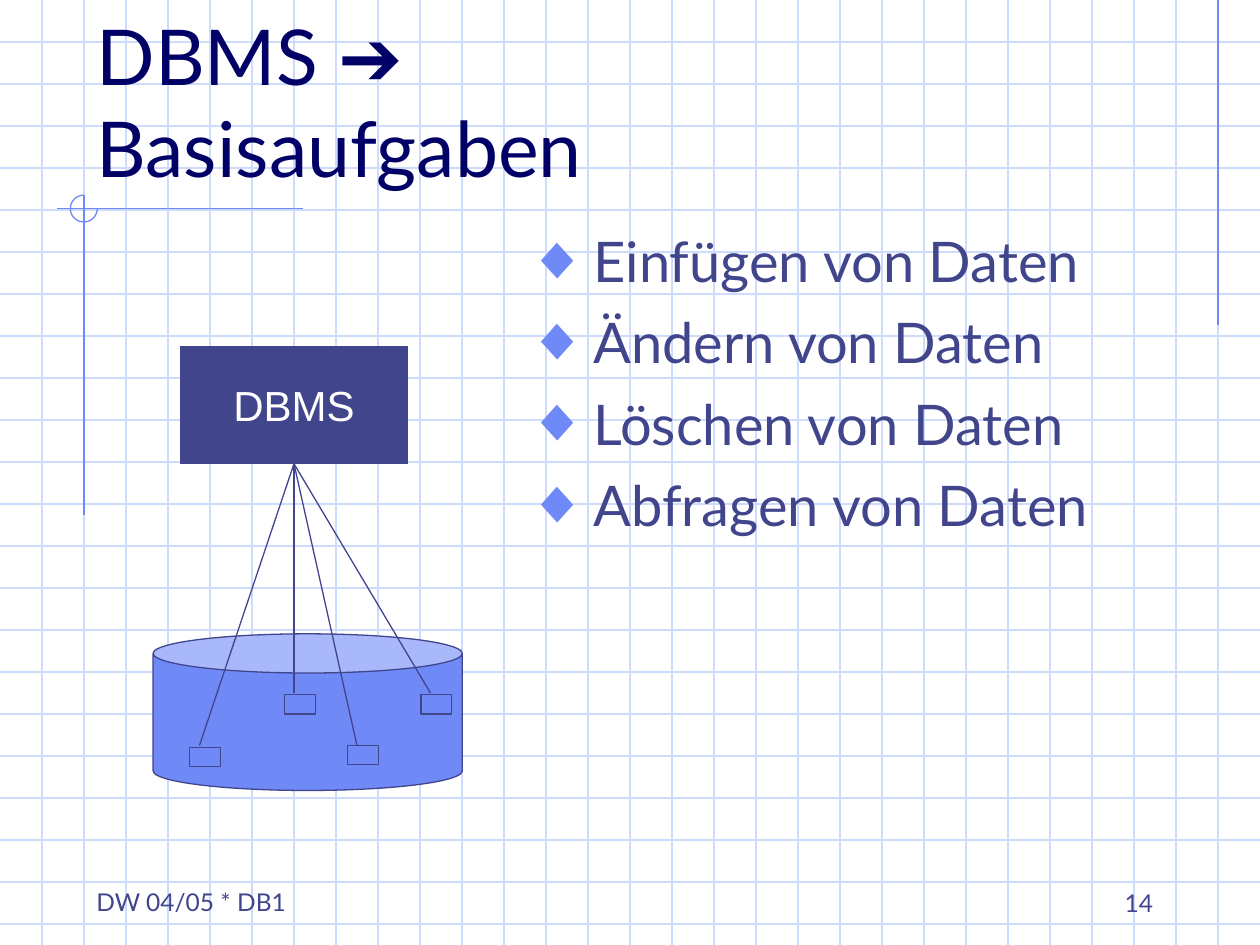
"""Build the slide on the basic tasks of a DBMS."""
from lxml import etree
from pptx import Presentation
from pptx.dml.color import RGBColor
from pptx.enum.shapes import MSO_CONNECTOR, MSO_SHAPE
from pptx.enum.text import MSO_ANCHOR, PP_ALIGN
from pptx.oxml.ns import qn
from pptx.util import Pt

STRAIGHT = MSO_CONNECTOR.STRAIGHT
ARC, CAN, RECT = MSO_SHAPE.ARC, MSO_SHAPE.CAN, MSO_SHAPE.RECTANGLE
MIDDLE, BOTTOM, TOP = MSO_ANCHOR.MIDDLE, MSO_ANCHOR.BOTTOM, MSO_ANCHOR.TOP
LEFT, CENTER, RIGHT = PP_ALIGN.LEFT, PP_ALIGN.CENTER, PP_ALIGN.RIGHT
GRID, BLUE, DARK, NAVY, WHITE = "CFDBFD", "6F89F7", "40458C", "000066", "FFFFFF"
W, H, STEP = 720, 540, 24


def paint(part, color):
    if color is None:
        part.background()
    else:
        part.solid()
        part.fore_color.rgb = RGBColor.from_string(color)


def draw_line(x1, y1, x2, y2, color):
    line = slide.shapes.add_connector(STRAIGHT, Pt(x1), Pt(y1), Pt(x2), Pt(y2))
    paint(line.line.fill, color)
    line.line.width = Pt(0.75)
    props = line._element.find(qn("p:spPr"))
    etree.SubElement(props, qn("a:effectLst"))
    return line


deck = Presentation()
deck.slide_width, deck.slide_height = Pt(W), Pt(H)
slide = deck.slides.add_slide(deck.slide_layouts[5])
paint(slide.background.fill, WHITE)

for y in range(STEP, H, STEP):
    draw_line(0, y, W, y, GRID)
for x in range(STEP, W, STEP):
    draw_line(x, 0, x, H, GRID)
for ends in [(696, 0, 696, 186), (173, 119.3, 32.5, 119.3), (48, 111.5, 48, 294.5)]:
    draw_line(*ends, BLUE)

title = slide.shapes.title
slide.shapes._spTree.append(title._element)
title.left, title.top, title.width, title.height = Pt(48), Pt(24), Pt(612), Pt(90)
frame = title.text_frame
frame.vertical_anchor = BOTTOM
head = frame.paragraphs[0]
head.alignment = LEFT
for text, face in [("DBMS ", "Lato"), ("➔", "Arial"), ("Basisaufgaben", "Lato")]:
    if text == "Basisaufgaben":
        head.add_line_break()
    run = head.add_run()
    run.text = text
    run.font.name, run.font.size = face, Pt(44)
    run.font.color.rgb = RGBColor.from_string(NAVY)

tasks = "\n".join(f"{verb} von Daten" for verb in ("Einfügen", "Ändern", "Löschen", "Abfragen"))
boxes = [
    (tasks, 294, 126, 396, 192, 32, LEFT, TOP),
    ("DW 04/05 * DB1", 48, 503.5, 162, 24.5, 14, LEFT, TOP),
    ("14", 516, 492, 150, 36, 14, RIGHT, BOTTOM),
]
for text, x, y, w, h, size, align, anchor in boxes:
    box = slide.shapes.add_textbox(Pt(x), Pt(y), Pt(w), Pt(h))
    frame = box.text_frame
    frame.word_wrap = True
    frame.vertical_anchor = anchor
    frame.text = text
    for i, para in enumerate(frame.paragraphs):
        if text == tasks:
            props = para._p.get_or_add_pPr()
            props.set("marL", str(Pt(38)))
            props.set("indent", str(Pt(-38)))
            tint = etree.SubElement(props, qn("a:buClr"))
            etree.SubElement(tint, qn("a:srgbClr"), val=BLUE)
            etree.SubElement(props, qn("a:buSzPct"), val="110000")
            etree.SubElement(props, qn("a:buFont"), typeface="Arial")
            etree.SubElement(props, qn("a:buChar"), char="◆")
            para.space_before = Pt(8 if i else 0)
        para.alignment = align
        para.font.name, para.font.size = "Lato", Pt(size)
        para.font.color.rgb = RGBColor.from_string(DARK)

forms = [
    (ARC, 40.2, 111.5, 15.4, 15.4, None, BLUE),
    (CAN, 87.5, 362.2, 176.7, 89.5, BLUE, DARK),
    (RECT, 103, 198, 130, 67, DARK, DARK),
    (RECT, 108.4, 427, 17.6, 11, None, DARK),
    (RECT, 162.5, 397, 17.6, 11, None, DARK),
    (RECT, 198.5, 426, 17.6, 11, None, DARK),
    (RECT, 240.5, 397, 17.6, 11, None, DARK),
]
made = []
for kind, x, y, w, h, fill, edge in forms:
    form = slide.shapes.add_shape(kind, Pt(x), Pt(y), Pt(w), Pt(h))
    form.shadow.inherit = False
    paint(form.fill, fill)
    paint(form.line.fill, edge)
    form.line.width = Pt(0.75)
    made.append(form)
ring, store, system = made[:3]
ring.adjustments[0], ring.adjustments[1] = 0, 162
store.adjustments[0] = 0.25

frame = system.text_frame
frame.text = "DBMS"
frame.word_wrap = False
frame.vertical_anchor = MIDDLE
para = frame.paragraphs[0]
para.alignment = CENTER
para.font.name, para.font.size = "Arial", Pt(24)
para.font.color.rgb = RGBColor.from_string(WHITE)

for x, y in [(114, 426), (168, 396), (204, 426), (246, 396)]:
    link = draw_line(168, 265, x, y, DARK)
    link.begin_connect(system, 2)

deck.save("out.pptx")
